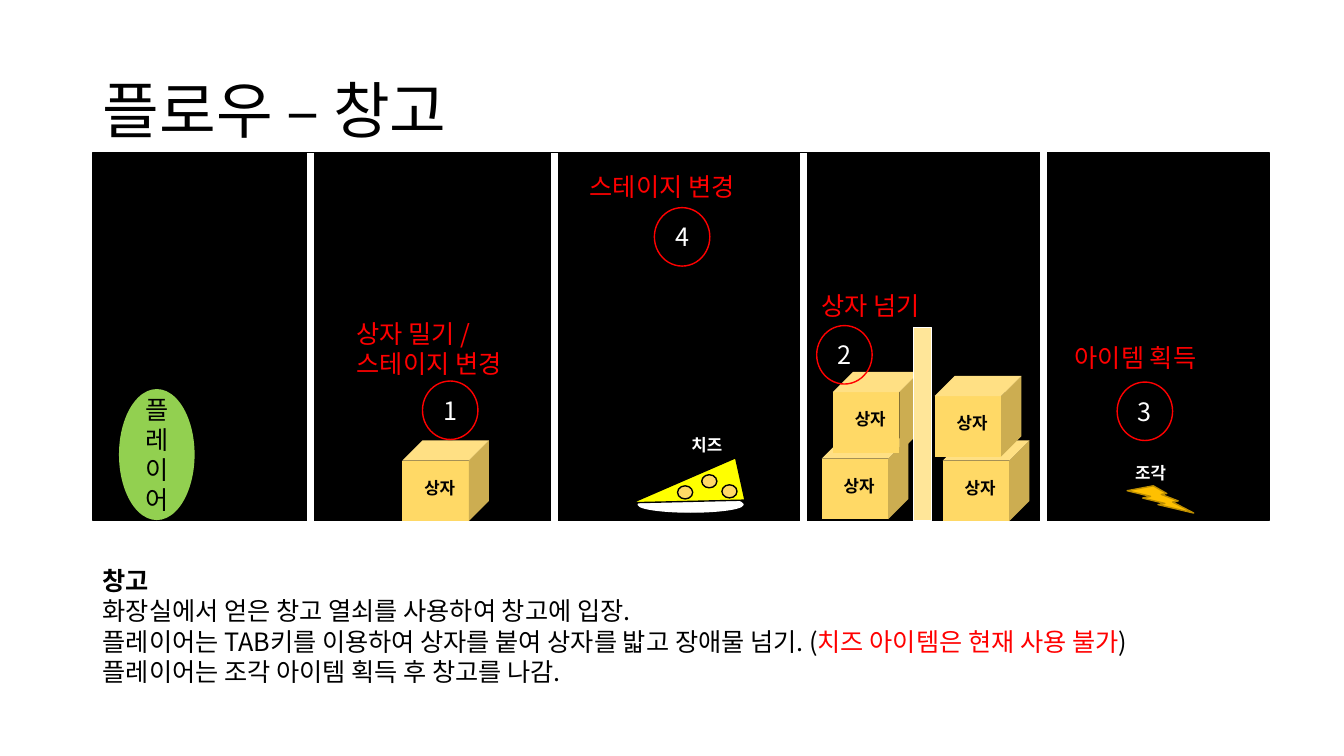
from lxml.etree import SubElement
from pptx import Presentation
from pptx.dml.color import RGBColor
from pptx.enum.shapes import MSO_CONNECTOR, MSO_SHAPE as Shape
from pptx.enum.text import MSO_ANCHOR as Anchor, PP_ALIGN as Align
from pptx.oxml.ns import qn
from pptx.util import Inches, Pt

FONT = "Noto Sans CJK KR"
BLACK, WHITE, RED = "000000", "FFFFFF", "FF0000"
BOX_COLOR = "FFD966"

TITLE = "플로우 – 창고"
STORY = [
    [("창고", BLACK, True)],
    [("화장실에서 얻은 창고 열쇠를 사용하여 창고에 입장.", BLACK, False)],
    [
        ("플레이어는 TAB키를 이용하여 상자를 붙여 상자를 밟고 장애물 넘기. (", BLACK, False),
        ("치즈 아이템은 현재 사용 불가", RED, False),
        (")", BLACK, False),
    ],
    [("플레이어는 조각 아이템 획득 후 창고를 나감.", BLACK, False)],
]
STEPS = [
    ("1", (4.19, 3.78), "상자 밀기 / 스테이지 변경", (3.44, 3.11, 1.81, 0.71)),
    ("2", (8.1, 3.23), "상자 넘기", (8.05, 2.83, 1.38, 0.4)),
    ("3", (11.08, 3.79), "아이템 획득", (10.56, 3.35, 1.59, 0.4)),
    ("4", (6.49, 2.06), "스테이지 변경", (5.75, 1.65, 1.8, 0.4)),
]
ITEM_LABELS = [("조각", (11.16, 4.54, 1.69, 0.3)), ("치즈", (6.76, 4.26, 0.63, 0.3))]
DIVIDERS = [(3.08, 1.52), (5.5, 1.52), (7.97, 1.52), (10.35, 1.43)]
DIVIDER_LENGTH = 3.82
BOXES = [(3.99, 4.37), (8.15, 4.35), (8.26, 3.69), (9.35, 4.37), (9.27, 3.73)]
CHEESE_HOLES = [(6.96, 4.71), (6.72, 4.82), (7.16, 4.81)]
LEFT, WIDTH = 0.92, 11.67


def color(value):
    return RGBColor.from_string(value)


def write(shape, paragraphs, size, anchor=Anchor.TOP, align=Align.LEFT, spacing=None):
    frame = shape.text_frame
    frame.word_wrap = True
    frame.vertical_anchor = anchor
    for index, runs in enumerate(paragraphs):
        paragraph = frame.add_paragraph() if index else frame.paragraphs[0]
        paragraph.alignment = align
        if spacing:
            paragraph.line_spacing = spacing
        for text, text_color, bold in runs:
            run = paragraph.add_run()
            run.text = text
            run.font.size = Pt(size)
            run.font.bold = bold
            run.font.color.rgb = color(text_color)
            run.font.name = FONT
            SubElement(run.font._element, qn("a:ea")).set("typeface", FONT)


def add_text(slide, area, paragraphs, size, **options):
    shape = slide.shapes.add_textbox(*map(Inches, area))
    write(shape, paragraphs, size, **options)


def add_figure(slide, kind, area, fill=None, line=None, rotation=0):
    shape = slide.shapes.add_shape(kind, *map(Inches, area))
    shape.shadow.inherit = False
    shape.rotation = rotation
    if fill:
        shape.fill.solid()
        shape.fill.fore_color.rgb = color(fill)
    else:
        shape.fill.background()
    if line:
        shape.line.color.rgb = color(line)
        shape.line.width = Pt(1)
    else:
        shape.line.fill.background()
    return shape


def add_centred(shape, text, text_color):
    write(shape, [[(text, text_color, False)]], 18, Anchor.MIDDLE, Align.CENTER)


def add_divider(slide, left, top):
    ends = map(Inches, (left, top, left, top + DIVIDER_LENGTH))
    divider = slide.shapes.add_connector(MSO_CONNECTOR.STRAIGHT, *ends)
    divider.line.color.rgb = color(WHITE)
    divider.line.width = Pt(4.5)
    SubElement(divider._element.spPr, qn("a:effectLst"))


def add_box(slide, left, top):
    add_figure(slide, Shape.CUBE, (left, top, 0.86, 0.8), BOX_COLOR)
    add_text(slide, (left + 0.12, top + 0.32, 0.63, 0.3), [[("상자", BLACK, True)]], 12)


def add_cheese(slide):
    add_figure(slide, Shape.OVAL, (6.33, 4.93, 1.04, 0.15), WHITE, WHITE)
    add_figure(slide, Shape.FLOWCHART_MERGE, (6.59, 4.32, 0.43, 1.1), "FFFF00", BLACK, 77.6)
    for left, top in CHEESE_HOLES:
        add_figure(slide, Shape.OVAL, (left, top, 0.15, 0.13), BOX_COLOR, BLACK)


def main():
    presentation = Presentation()
    presentation.slide_width, presentation.slide_height = Inches(13.33), Inches(7.5)
    slide = presentation.slides.add_slide(presentation.slide_layouts[6])

    add_text(slide, (LEFT, 0.4, 11.5, 1.45), [[(TITLE, BLACK, False)]], 44,
             anchor=Anchor.MIDDLE, spacing=0.9)
    add_figure(slide, Shape.RECTANGLE, (LEFT, 1.52, WIDTH, 3.64), BLACK, BLACK)
    player = add_figure(slide, Shape.OVAL, (1.18, 3.86, 0.75, 1.3), "92D050")
    add_centred(player, "플레이어", BLACK)
    for left, top in DIVIDERS:
        add_divider(slide, left, top)

    add_figure(slide, Shape.LIGHTNING_BOLT, (11.18, 4.82, 0.66, 0.27), "FFC000", "BD8E00")
    add_cheese(slide)
    for label, area in ITEM_LABELS:
        add_text(slide, area, [[(label, WHITE, True)]], 12)
    for left, top in BOXES:
        add_box(slide, left, top)

    for number, (left, top), label, area in STEPS:
        circle = add_figure(slide, Shape.OVAL, (left, top, 0.55, 0.58), line=RED)
        add_centred(circle, number, WHITE)
        add_text(slide, area, [[(label, RED, False)]], 18)
    add_figure(slide, Shape.RECTANGLE, (9.06, 3.25, 0.18, 1.92), "FFE699", WHITE)
    add_text(slide, (LEFT, 5.56, WIDTH, 1.31), STORY, 18)
    presentation.save("out.pptx")


if __name__ == "__main__":
    main()
